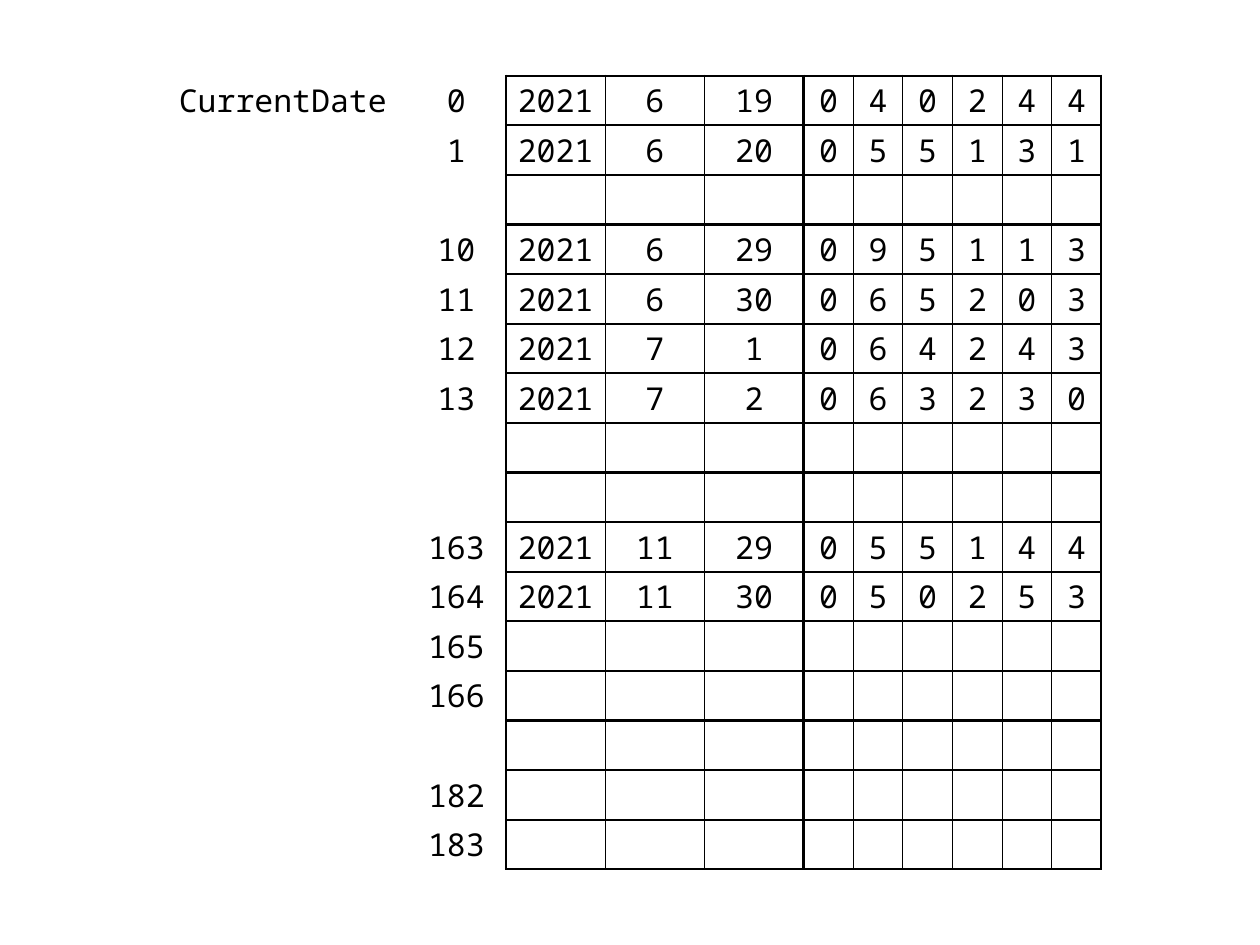
from lxml import etree
from pptx import Presentation
from pptx.dml.color import RGBColor
from pptx.enum import text
from pptx.oxml import ns
from pptx.util import Cm, Inches, Pt

COLORS = {"ink": "000000"}
FONT = "Noto Sans Mono"
THIN, THICK = 0.5, 1.5
ROWS = [
    ("CurrentDate", "0", (2021, 6, 19), "040244"),
    ("", "1", (2021, 6, 20), "055131"),
    (),
    ("", "10", (2021, 6, 29), "095113"),
    ("", "11", (2021, 6, 30), "065203"),
    ("", "12", (2021, 7, 1), "064243"),
    ("", "13", (2021, 7, 2), "063230"),
    (),
    (),
    ("", "163", (2021, 11, 29), "055144"),
    ("", "164", (2021, 11, 30), "050253"),
    ("", "165"),
    ("", "166"),
    (),
    ("", "182"),
    ("", "183"),
]
COLUMN_UNITS = [5] + [2] * 4 + [1] * 6
LABEL_COLUMNS = 2
GROUP_STARTS = {2, 5}
GROUP_ENDS = {1, 4, 10}
UNIT = Cm(1)


def cell_texts(name="", index="", date=("",) * 3, digits=("",) * 6):
    return [name, index, *map(str, date), *digits]


def border_widths(column):
    if column < LABEL_COLUMNS:
        return {"R": THICK} if column in GROUP_ENDS else {}
    return {
        "L": THICK if column in GROUP_STARTS else THIN,
        "R": THICK if column in GROUP_ENDS else THIN,
        "T": THICK,
        "B": THICK,
    }


def set_borders(cell, widths):
    properties = cell._tc.get_or_add_tcPr()
    for side in "LRTB":
        line = etree.SubElement(properties, ns.qn(f"a:ln{side}"))
        if side not in widths:
            etree.SubElement(line, ns.qn("a:noFill"))
            continue
        line.set("w", str(Pt(widths[side])))
        fill = etree.SubElement(line, ns.qn("a:solidFill"))
        etree.SubElement(fill, ns.qn("a:srgbClr"), val=COLORS["ink"])


def write(cell, content, size=18, color="ink"):
    cell.vertical_anchor = text.MSO_ANCHOR.MIDDLE
    cell.margin_left = cell.margin_right = cell.margin_top = cell.margin_bottom = 0
    para = cell.text_frame.paragraphs[0]
    para.alignment = text.PP_ALIGN.CENTER
    if content:
        span = para.add_run()
        span.text = content
        span.font.name = FONT
        span.font.size = Pt(size)
        span.font.bold = False
        span.font.color.rgb = RGBColor.from_string(COLORS[color])


deck = Presentation()
deck.slide_width, deck.slide_height = Inches(10), Inches(7.5)
page = deck.slides.add_slide(deck.slide_layouts[6])

width, height = UNIT * sum(COLUMN_UNITS), UNIT * len(ROWS)
left, top = (deck.slide_width - width) // 2, (deck.slide_height - height) // 2
table = page.shapes.add_table(
    len(ROWS), len(COLUMN_UNITS), left, top, width, height
).table
table.first_row = table.horz_banding = False

for column, units in zip(table.columns, COLUMN_UNITS):
    column.width = UNIT * units
for row, record in zip(table.rows, ROWS):
    row.height = UNIT
    for number, (cell, content) in enumerate(zip(row.cells, cell_texts(*record))):
        write(cell, content)
        set_borders(cell, border_widths(number))
        cell.fill.background()

deck.save("out.pptx")
